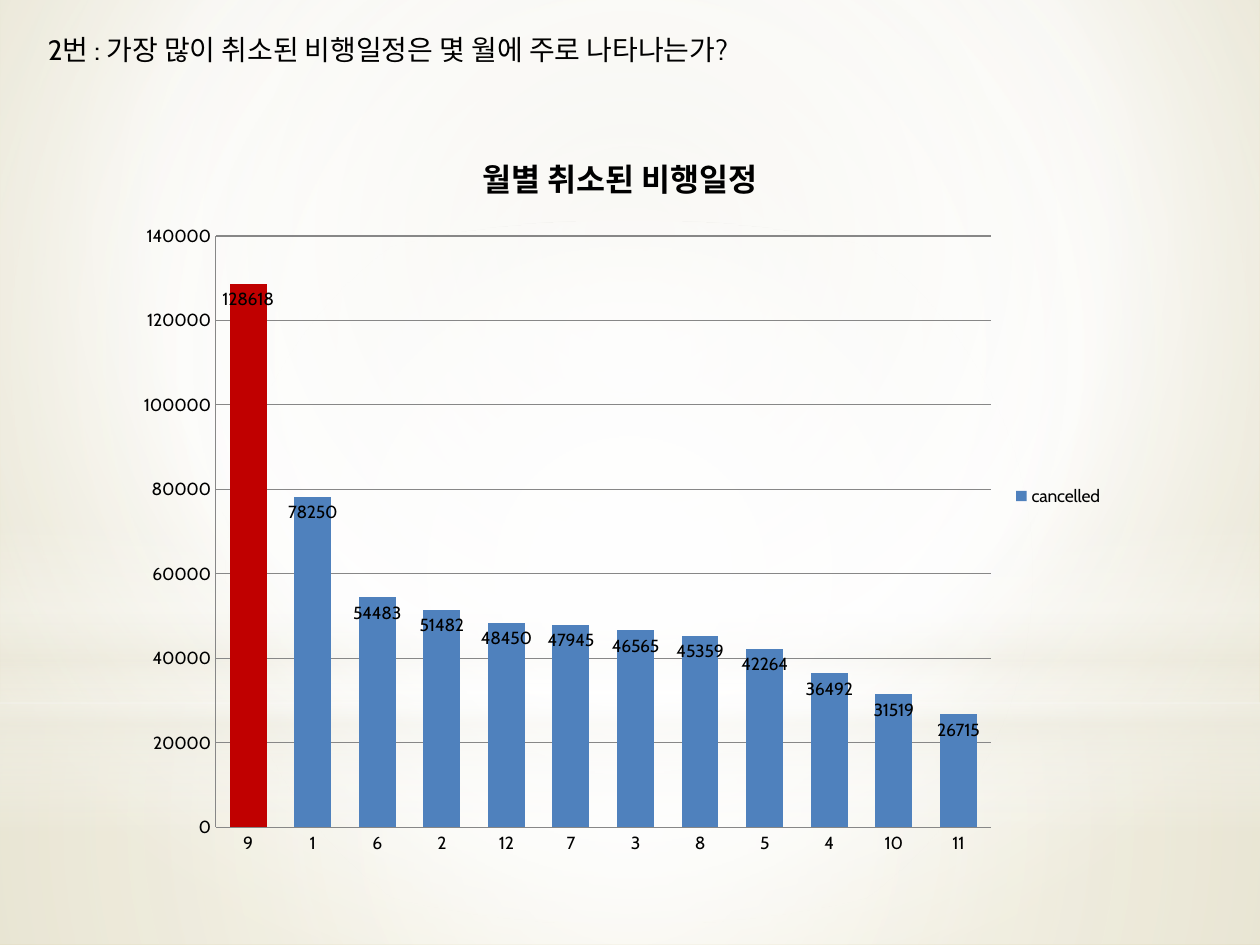
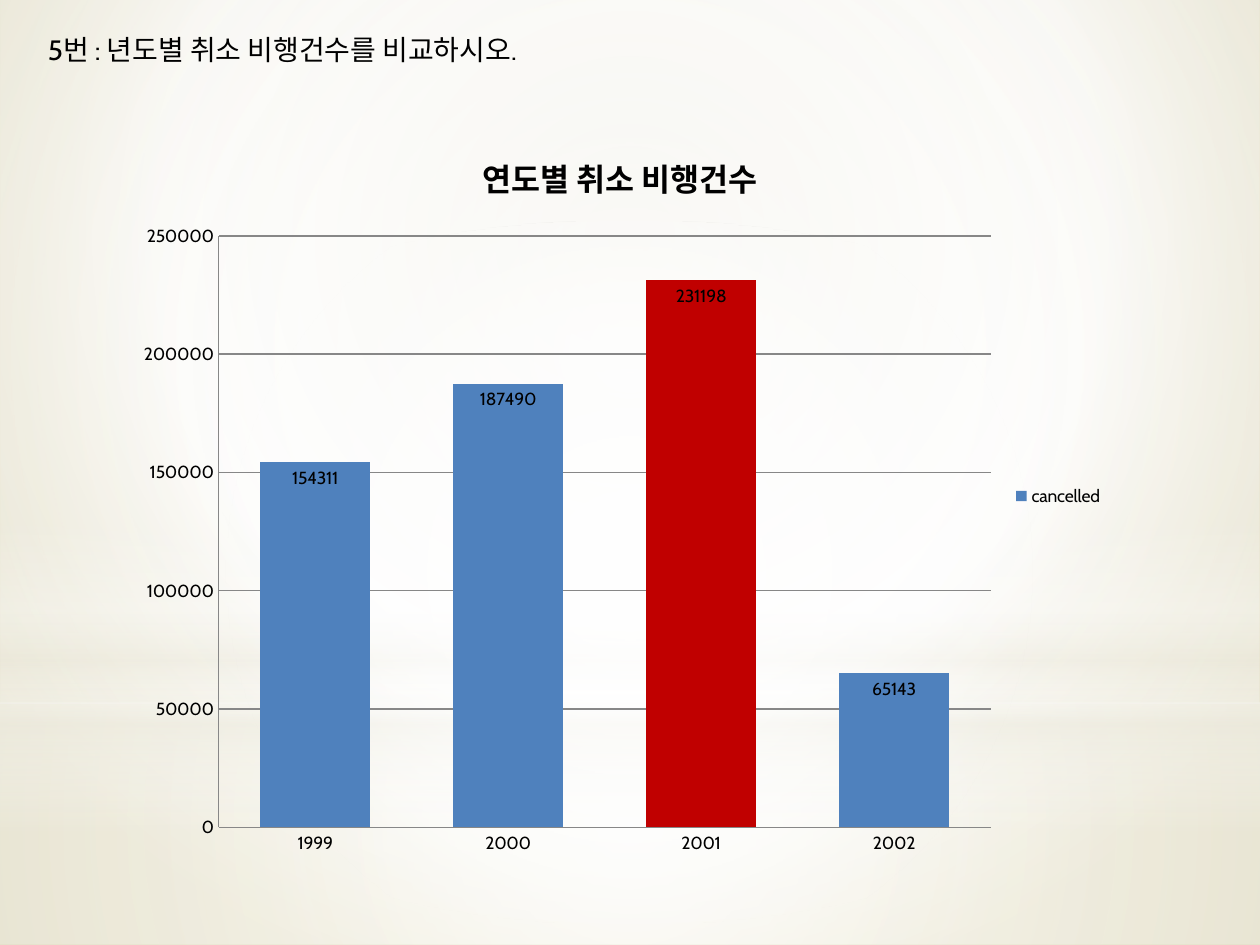
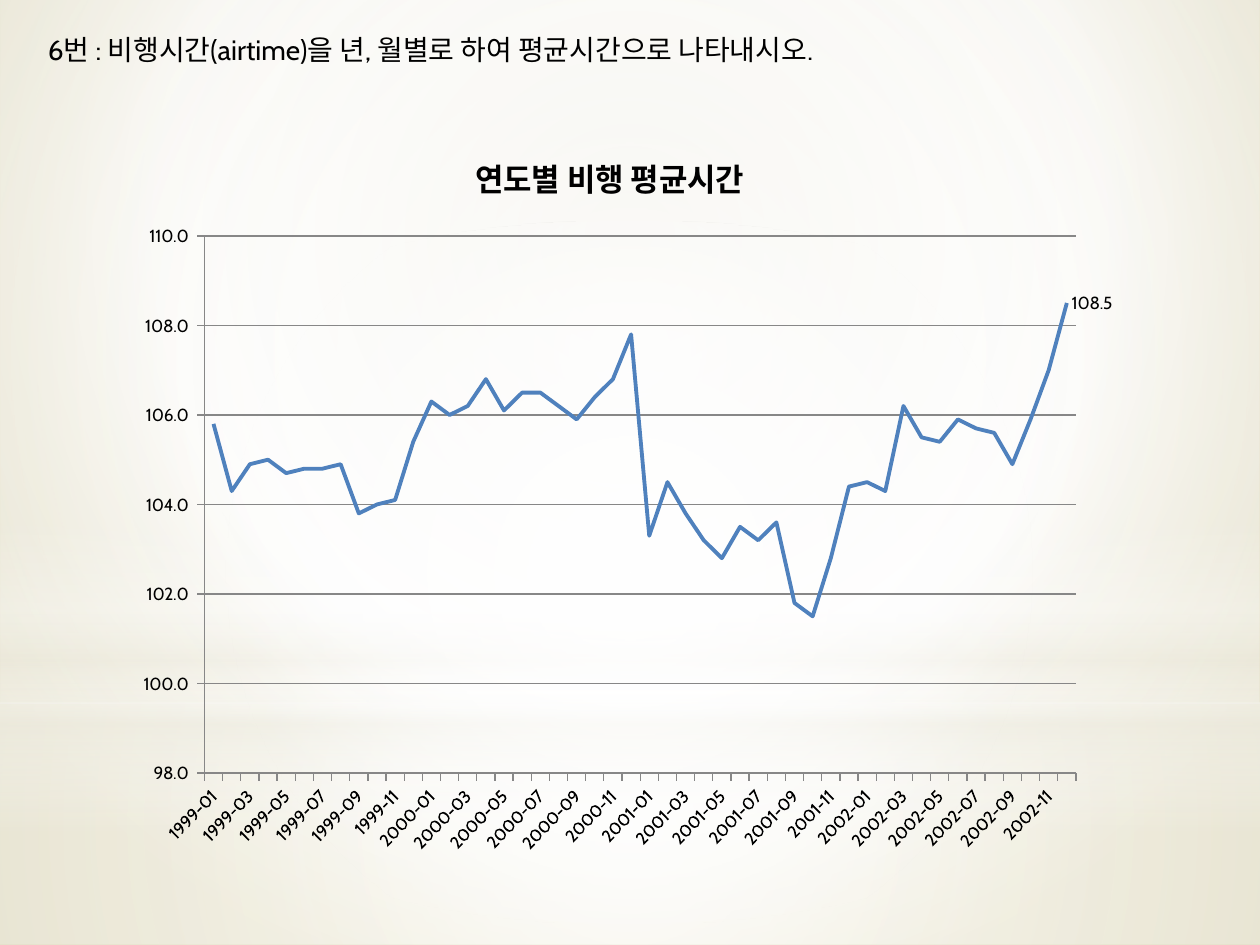
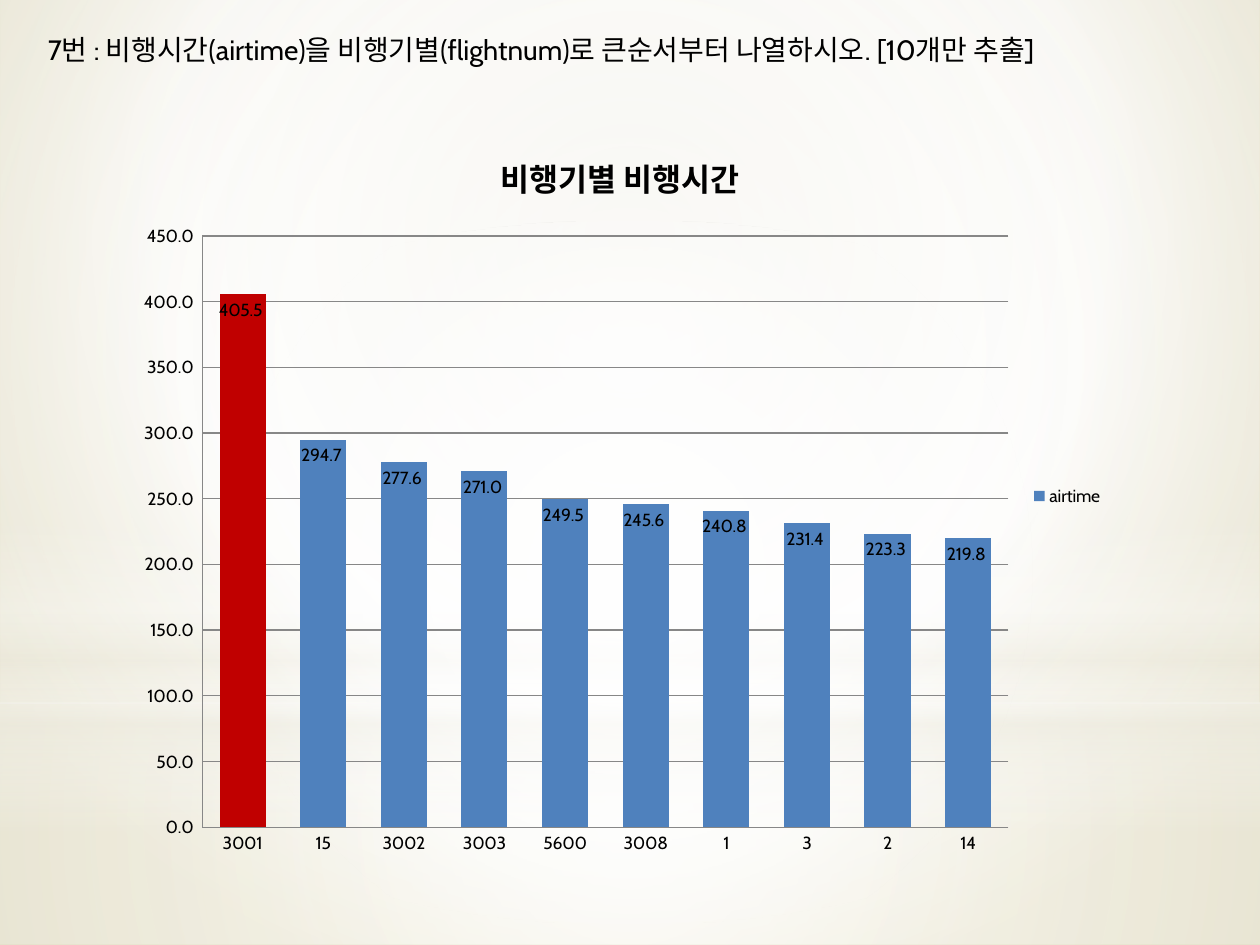
"""Build four slides that chart flight cancellations and air time."""
from lxml import etree
from pptx import Presentation
from pptx.chart.data import CategoryChartData
from pptx.dml.color import RGBColor
from pptx.enum.chart import XL_CHART_TYPE, XL_LABEL_POSITION, XL_LEGEND_POSITION, XL_TICK_MARK
from pptx.enum.shapes import MSO_SHAPE
from pptx.enum.text import MSO_ANCHOR, MSO_AUTO_SIZE, PP_ALIGN
from pptx.util import Pt

COLUMN, LINE = XL_CHART_TYPE.COLUMN_CLUSTERED, XL_CHART_TYPE.LINE
INSIDE_END, LABEL_RIGHT = XL_LABEL_POSITION.INSIDE_END, XL_LABEL_POSITION.RIGHT
LEGEND_RIGHT = XL_LEGEND_POSITION.RIGHT
TICK_NONE, TICK_OUT = XL_TICK_MARK.NONE, XL_TICK_MARK.OUTSIDE
RECTANGLE, ELLIPSE = MSO_SHAPE.RECTANGLE, MSO_SHAPE.OVAL
TOP, LEFT, GROW = MSO_ANCHOR.TOP, PP_ALIGN.LEFT, MSO_AUTO_SIZE.SHAPE_TO_FIT_TEXT

FONT = "Cabin"
BLACK, WHITE, CREAM, GREY = "000000", "FFFFFF", "EEECE1", "878787"
BLUE, RED = "4F81BD", "C00000"
DRAWING = "http://schemas.openxmlformats.org/drawingml/2006/main"
WHOLE_NUMBER, ONE_DECIMAL = "General", "0.0_ "


def color(hex_code):
    """Turn a hex string into a colour."""
    return RGBColor.from_string(hex_code)


def write(frame, text, size=16, bold=False, ink=BLACK):
    """Write one formatted line into a text frame."""
    para = frame.paragraphs[0]
    span = para.add_run()
    span.text = text
    span.font.name = FONT
    span.font.size = Pt(size)
    span.font.bold = bold
    span.font.color.rgb = color(ink)
    return para


months = [f"{year}-{month:02}" for year in range(1999, 2003) for month in range(1, 13)]
monthly_airtime = [
    105.8, 104.3, 104.9, 105.0, 104.7, 104.8, 104.8, 104.9, 103.8, 104.0, 104.1, 105.4,
    106.3, 106.0, 106.2, 106.8, 106.1, 106.5, 106.5, 106.2, 105.9, 106.4, 106.8, 107.8,
    103.3, 104.5, 103.8, 103.2, 102.8, 103.5, 103.2, 103.6, 101.8, 101.5, 102.8, 104.4,
    104.5, 104.3, 106.2, 105.5, 105.4, 105.9, 105.7, 105.6, 104.9, 105.9, 107.0, 108.5,
]
questions = [
    ("2번 : 가장 많이 취소된 비행일정은 몇 월에 주로 나타나는가?", 450.72,
     "월별 취소된 비행일정", COLUMN, "cancelled", WHOLE_NUMBER,
     ["9", "1", "6", "2", "12", "7", "3", "8", "5", "4", "10", "11"],
     [128618, 78250, 54483, 51482, 48450, 47945, 46565, 45359, 42264, 36492, 31519, 26715]),
    ("5번 : 년도별 취소 비행건수를 비교하시오.", 318.24,
     "연도별 취소 비행건수", COLUMN, "cancelled", WHOLE_NUMBER,
     ["1999", "2000", "2001", "2002"], [154311, 187490, 231198, 65143]),
    ("6번 : 비행시간(airtime)을 년, 월별로 하여 평균시간으로 나타내시오.", 511.2,
     "연도별 비행 평균시간", LINE, "Series 1", ONE_DECIMAL, months, monthly_airtime),
    ("7번 : 비행시간(airtime)을 비행기별(flightnum)로 큰순서부터 나열하시오. [10개만 추출]", 648,
     "비행기별 비행시간", COLUMN, "airtime", ONE_DECIMAL,
     ["3001", "15", "3002", "3003", "5600", "3008", "1", "3", "2", "14"],
     [405.5, 294.7, 277.6, 271.0, 249.5, 245.6, 240.8, 231.4, 223.3, 219.8]),
]

deck = Presentation()
deck.slide_width, deck.slide_height = Pt(720), Pt(540)
master = deck.slide_master
title_only = deck.slide_layouts[5]
pages = [deck.slides.add_slide(title_only) for _ in questions]

master.background.fill.solid()
gradients = [(
    master.element.xpath("p:cSld/p:bg/p:bgPr/a:solidFill")[0],
    [(0, "E7E4D4", 100), (60, WHITE, 100), (100, "D5CC9F", 100)], (20, 10, 20, 60),
)]
center = (50, 50, 50, 50)
bands = [
    (RECTANGLE, 401.76, 138.24, [(0, WHITE, 91), (37, WHITE, 76), (100, CREAM, 79)], center),
    (RECTANGLE, 0, 401.76, [(0, WHITE, 89), (48, WHITE, 62), (100, CREAM, 79)], center),
    (RECTANGLE, 296.64, 180, [(0, WHITE, 0), (29, WHITE, 30), (45, CREAM, 40),
                              (55, WHITE, 26), (65, CREAM, 60), (100, WHITE, 0)], None),
    (ELLIPSE, 126, 401.76, [(0, WHITE, 100), (56, WHITE, 0)], center),
]
for index, (outline, top, height, stops, focus) in enumerate(bands):
    band = pages[0].shapes.add_shape(outline, 0, Pt(top), deck.slide_width, Pt(height))
    band.shadow.inherit = False
    band.line.fill.background()
    band.fill.solid()
    band.element.xpath("p:nvSpPr/p:cNvPr")[0].set("id", str(20 + index))
    master.shapes.element.insert(2 + index, band.element)
    gradients.append((band.element.xpath("p:spPr/a:solidFill")[0], stops, focus))

for solid, stops, focus in gradients:
    stop_xml = "".join(
        f'<a:gs pos="{place * 1000}"><a:srgbClr val="{shade}">'
        f'<a:alpha val="{opacity * 1000}"/></a:srgbClr></a:gs>'
        for place, shade, opacity in stops
    )
    if focus:
        sides = " ".join(f'{side}="{share * 1000}"' for side, share in zip("ltrb", focus))
        direction = f'<a:path path="circle"><a:fillToRect {sides}/></a:path>'
    else:
        direction = '<a:lin ang="5400000" scaled="0"/>'
    gradient = etree.fromstring(
        f'<a:gradFill xmlns:a="{DRAWING}" rotWithShape="1">'
        f"<a:gsLst>{stop_xml}</a:gsLst>{direction}</a:gradFill>"
    )
    solid.getparent().replace(solid, gradient)

for page, question in zip(pages, questions):
    heading, width, caption, kind, name, number_format, categories, values = question

    data = CategoryChartData(number_format=number_format)
    data.categories = categories
    data.add_series(name, values)
    chart = page.shapes.add_chart(
        kind, Pt(70.87), Pt(70.87), Pt(566.93), Pt(425.2), data
    ).chart
    chart.font.name = FONT
    chart.font.size = Pt(10)
    chart.font.color.rgb = color(BLACK)
    chart.has_title = True
    write(chart.chart_title.text_frame, caption, size=18, bold=True)

    for axis in (chart.category_axis, chart.value_axis):
        axis.major_tick_mark = TICK_OUT if kind == LINE else TICK_NONE
        axis.minor_tick_mark = TICK_NONE
        axis.format.line.color.rgb = color(GREY)
        axis.format.line.width = Pt(0.75)
        axis.tick_labels.font.size = Pt(10)
    chart.value_axis.tick_labels.number_format = number_format
    chart.value_axis.tick_labels.number_format_is_linked = False
    chart.value_axis.has_major_gridlines = True
    grid = chart.value_axis.major_gridlines.format.line
    grid.color.rgb = color(GREY)
    grid.width = Pt(0.75)

    plot = chart.plots[0]
    plot.vary_by_categories = False
    series = plot.series[0]
    peak = values.index(max(values))
    chart.has_legend = kind == COLUMN
    if kind == COLUMN:
        chart.legend.position = LEGEND_RIGHT
        chart.legend.include_in_layout = False
        plot.gap_width, plot.overlap = 75, 40
        series.format.fill.solid()
        series.format.fill.fore_color.rgb = color(BLUE)
        highlight = series.points[peak].format.fill
        highlight.solid()
        highlight.fore_color.rgb = color(RED)
        series.data_labels.show_value = True
        series.data_labels.position = INSIDE_END
    else:
        series.smooth = False
        series.format.line.color.rgb = color(BLUE)
        series.format.line.width = Pt(2.25)
        series.data_labels.show_value = False
        series.points[peak].data_label.position = LABEL_RIGHT
        chart.element.xpath(".//c:catAx/c:txPr/a:bodyPr")[0].set("rot", "-2700000")

    title = page.shapes.title
    title.left, title.top, title.width, title.height = Pt(20.16), Pt(15.12), Pt(width), Pt(26.64)
    frame = title.text_frame
    frame.word_wrap = False
    frame.auto_size = GROW
    frame.vertical_anchor = TOP
    write(frame, heading).alignment = LEFT

deck.save("out.pptx")
